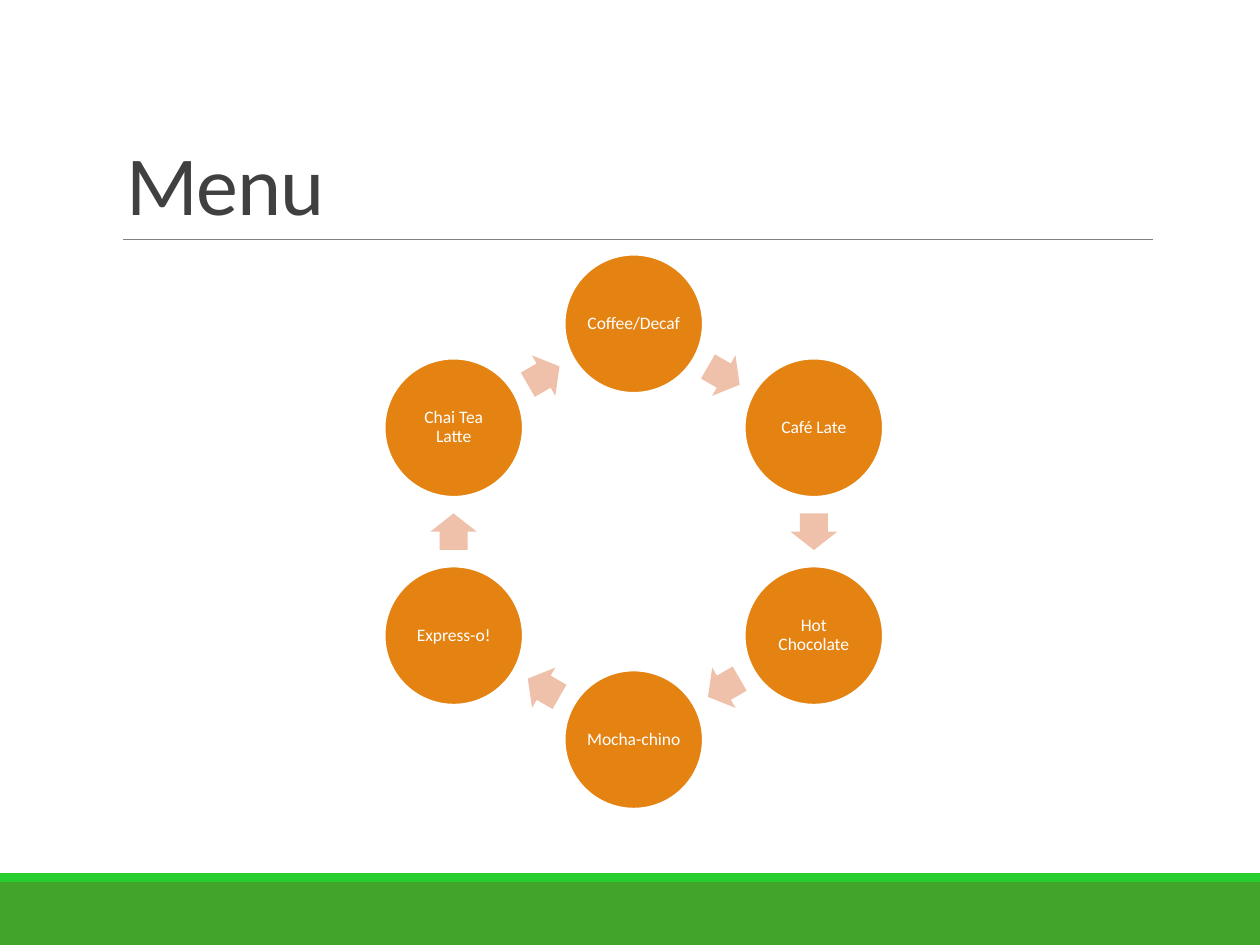
"""Build the Menu slide: a title above a ring of six drinks."""
import math
from pptx import Presentation
from pptx.dml.color import RGBColor
from pptx.enum import shapes, text
from pptx.oxml.ns import qn
from pptx.util import Inches, Pt
from lxml import etree


def tint(hue):
    return RGBColor.from_string(hue)


def draw(kind, x, y, w, h, hue):
    item = slide.shapes.add_shape(kind, Inches(x), Inches(y), Inches(w), Inches(h))
    item.shadow.inherit = False
    item.fill.solid()
    item.fill.fore_color.rgb = tint(hue)
    item.line.fill.background()
    return item


deck = Presentation()
deck.slide_width, deck.slide_height = Inches(10), Inches(7.5)
slide = deck.slides.add_slide(deck.slide_layouts[5])
kinds = shapes.MSO_SHAPE

draw(kinds.RECTANGLE, 0, 7, 10, 0.5, "43A42C")
draw(kinds.RECTANGLE, 0, 6.93, 10, 0.07, "28CE30")

rule = slide.shapes.add_connector(
    shapes.MSO_CONNECTOR.STRAIGHT, Inches(0.98), Inches(1.9), Inches(9.15), Inches(1.9))
rule.line.color.rgb = tint("808080")
rule.line.width = Pt(0.5)
etree.SubElement(rule._element.spPr, qn("a:effectLst"))

title = slide.shapes.title
title.left, title.top = Inches(0.9), Inches(0.31)
title.width, title.height = Inches(8.25), Inches(1.59)
frame = title.text_frame
frame.auto_size = text.MSO_AUTO_SIZE.NONE
frame.vertical_anchor = text.MSO_ANCHOR.BOTTOM
para = frame.paragraphs[0]
para.alignment = text.PP_ALIGN.LEFT
para.line_spacing = 0.85
run = para.add_run()
run.text = "Menu"
run.font.name, run.font.size = "Calibri", Pt(48)
run.font.color.rgb = tint("404040")
run.font._element.set("spc", "-50")

drinks = ["Coffee/Decaf", "Café Late", "Hot Chocolate",
          "Mocha-chino", "Express-o!", "Chai Tea Latte"]
midx, midy = 5.03, 4.22
ring, orbit = 1.65, 1.43
size, wide, high = 1.1, 0.29, 0.37
step = 360 / len(drinks)

for i, name in enumerate(drinks):
    turn = math.radians(i * step - 90)
    x = midx + ring * math.cos(turn)
    y = midy + ring * math.sin(turn)
    disc = draw(kinds.OVAL, x - size / 2, y - size / 2, size, size, "E48312")
    disc.line.color.rgb = tint("FFFFFF")
    disc.line.width = Pt(1.25)
    frame = disc.text_frame
    frame.word_wrap = True
    frame.vertical_anchor = text.MSO_ANCHOR.MIDDLE
    frame.margin_left = frame.margin_right = Inches(0.01)
    frame.margin_top = frame.margin_bottom = Inches(0.01)
    para = frame.paragraphs[0]
    para.alignment = text.PP_ALIGN.CENTER
    para.line_spacing = 0.9
    run = para.add_run()
    run.text = name
    run.font.name, run.font.size = "Calibri", Pt(10)
    run.font.color.rgb = tint("FFFFFF")

    turn += math.radians(step / 2)
    x = midx + orbit * math.cos(turn)
    y = midy + orbit * math.sin(turn)
    arrow = draw(kinds.RIGHT_ARROW, x - wide / 2, y - high / 2, wide, high, "EFC1AB")
    arrow.adjustments[0] = 0.6
    arrow.adjustments[1] = 0.5
    arrow.rotation = (i + 0.5) * step

deck.save("out.pptx")
